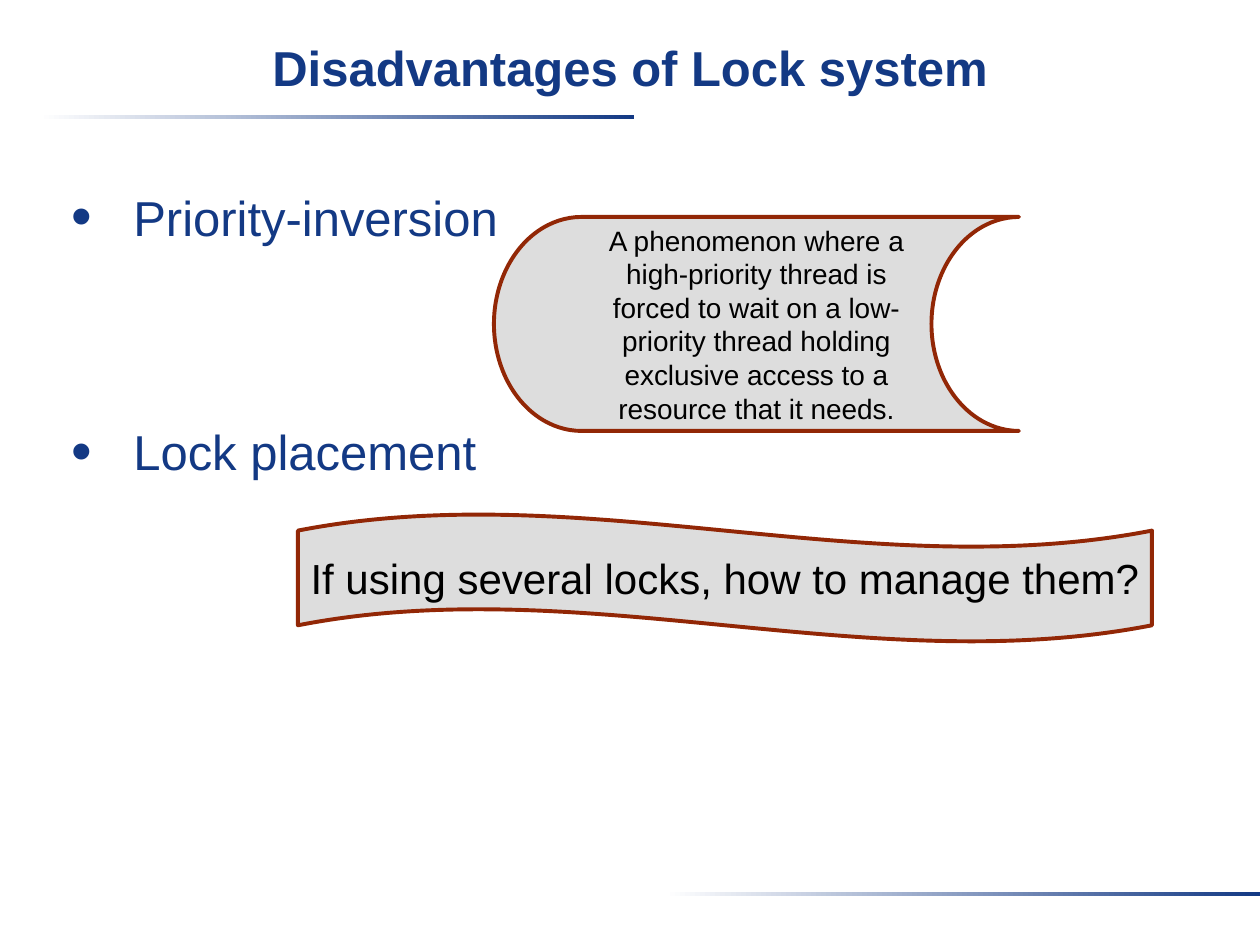
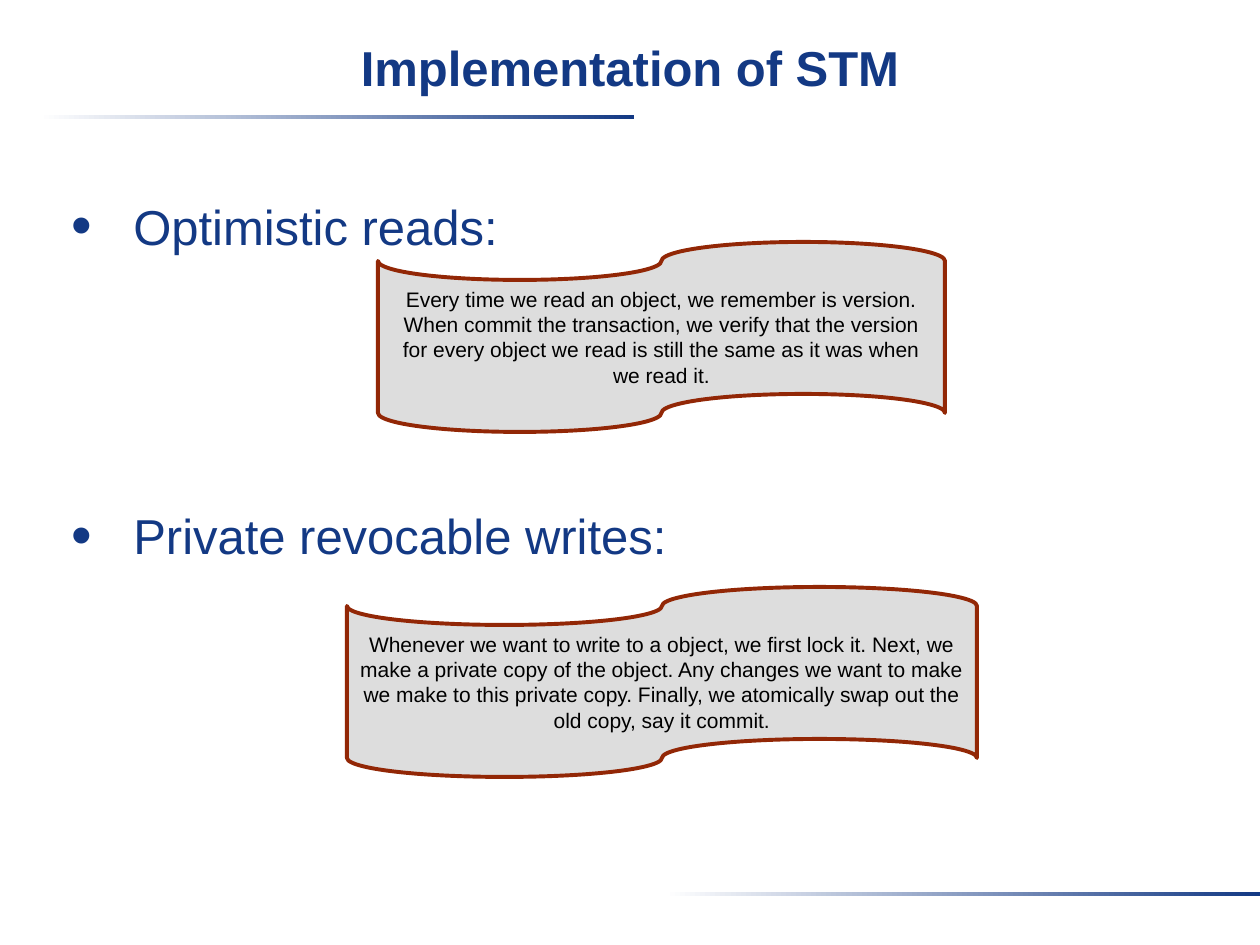
from pptx import Presentation
from pptx.dml.color import RGBColor
from pptx.enum.shapes import MSO_SHAPE
from pptx.enum.text import MSO_ANCHOR, PP_ALIGN
from pptx.oxml.xmlchemy import OxmlElement
from pptx.util import Pt

RECT = MSO_SHAPE.RECTANGLE
STORAGE = MSO_SHAPE.FLOWCHART_STORED_DATA
TAPE = MSO_SHAPE.FLOWCHART_PUNCHED_TAPE
WAVE = MSO_SHAPE.WAVE
CENTER = PP_ALIGN.CENTER
LEFT = PP_ALIGN.LEFT
MIDDLE = MSO_ANCHOR.MIDDLE
TOP = MSO_ANCHOR.TOP

# Content: boxes are (left, top, width, height) in px
SLIDES = [
    {
        "title": "Disadvantages of Lock system",
        "bullets": ["Priority-inversion", "Lock placement"],
        "body_top": 175,
        "bullet_gap": 97,
        "notes": [
            (STORAGE, (494, 217, 525, 214), 16,
             "A phenomenon where a high-priority thread is forced to wait on a "
             "low-priority thread holding exclusive access to a resource that it needs."),
            (WAVE, (298, 514, 854, 128), 24,
             "If using several locks, how to manage them?"),
        ],
    },
    {
        "title": "Implementation of STM",
        "bullets": ["Optimistic reads:", "Private revocable writes:"],
        "body_top": 184,
        "bullet_gap": 140,
        "notes": [
            (TAPE, (378, 242, 567, 190), 12,
             "Every time we read an object, we remember is version. When commit the "
             "transaction, we verify that the version for every object we read is "
             "still the same as it was when we read it."),
            (TAPE, (347, 587, 630, 190), 12,
             "Whenever we want to write to a object, we first lock it. Next, we make "
             "a private copy of the object. Any changes we want to make we make to "
             "this private copy. Finally, we atomically swap out the old copy, say "
             "it commit."),
        ],
    },
]

# Shared style
COLORS = {"navy": "133984", "white": "FFFFFF", "gray": "DDDDDD",
          "rust": "922706", "black": "000000"}
FONT = "Arial"
SLIDE_W, SLIDE_H = 1260, 945
TITLE_BOX = (0, 25, SLIDE_W, 94)
BODY_LEFT, BODY_W, BODY_H = 59, 1134, 698
BARS = [(39, 115, 595, 4), (665, 892, 595, 4)]
INDENT = 62
PX_PER_INCH = 126


def px(n):
    return round(n * 914400 / PX_PER_INCH)


def rgb(name):
    return RGBColor.from_string(COLORS[name])


def write(sp, lines, size, color, align=LEFT, anchor=TOP, bold=False, wrap=True):
    tf = sp.text_frame
    tf.word_wrap = wrap
    tf.vertical_anchor = anchor
    tf.text = "\n".join(lines)
    for p in tf.paragraphs:
        p.alignment = align
        for r in p.runs:
            r.font.name = FONT
            r.font.size = Pt(size)
            r.font.bold = bold
            r.font.color.rgb = rgb(color)
    return tf


def add_text(slide, box, *args, **style):
    return write(slide.shapes.add_textbox(*map(px, box)), *args, **style)


def add_shape(slide, kind, box):
    sp = slide.shapes.add_shape(kind, *map(px, box))
    sp.shadow.inherit = False
    return sp


def add_bar(slide, box):
    sp = add_shape(slide, RECT, box)
    sp.line.fill.background()
    sp.fill.gradient()
    sp.fill.gradient_angle = 0
    for stop, color in zip(sp.fill.gradient_stops, ("white", "navy")):
        stop.color.rgb = rgb(color)


def set_bullet(p):
    pPr = p._p.get_or_add_pPr()
    pPr.set("marL", str(px(INDENT)))
    pPr.set("indent", str(-px(INDENT)))
    size = OxmlElement("a:buSzPct")
    size.set("val", "120000")
    font = OxmlElement("a:buFont")
    font.set("typeface", FONT)
    char = OxmlElement("a:buChar")
    char.set("char", "•")
    pPr.extend([size, font, char])


def add_bullets(slide, top, lines, gap):
    tf = add_text(slide, (BODY_LEFT, top, BODY_W, BODY_H), lines, 28, "navy")
    for i, p in enumerate(tf.paragraphs):
        p.line_spacing = 1.1
        p.space_before = Pt(gap if i else 7)
        set_bullet(p)


def add_note(slide, kind, box, size, text):
    sp = add_shape(slide, kind, box)
    sp.fill.solid()
    sp.fill.fore_color.rgb = rgb("gray")
    sp.line.color.rgb = rgb("rust")
    sp.line.width = Pt(2.25)
    if kind == WAVE:
        sp.adjustments[0] = 0.13
    write(sp, [text], size, "black", CENTER, MIDDLE, wrap=kind != WAVE)


def main():
    prs = Presentation()
    prs.slide_width, prs.slide_height = px(SLIDE_W), px(SLIDE_H)
    for content in SLIDES:
        slide = prs.slides.add_slide(prs.slide_layouts[6])
        for bar in BARS:
            add_bar(slide, bar)
        tf = add_text(slide, TITLE_BOX, [content["title"]], 28, "navy", CENTER, bold=True)
        tf.margin_top = px(12)
        add_bullets(slide, content["body_top"], content["bullets"], content["bullet_gap"])
        for note in content["notes"]:
            add_note(slide, *note)
    prs.save("out.pptx")


if __name__ == "__main__":
    main()
